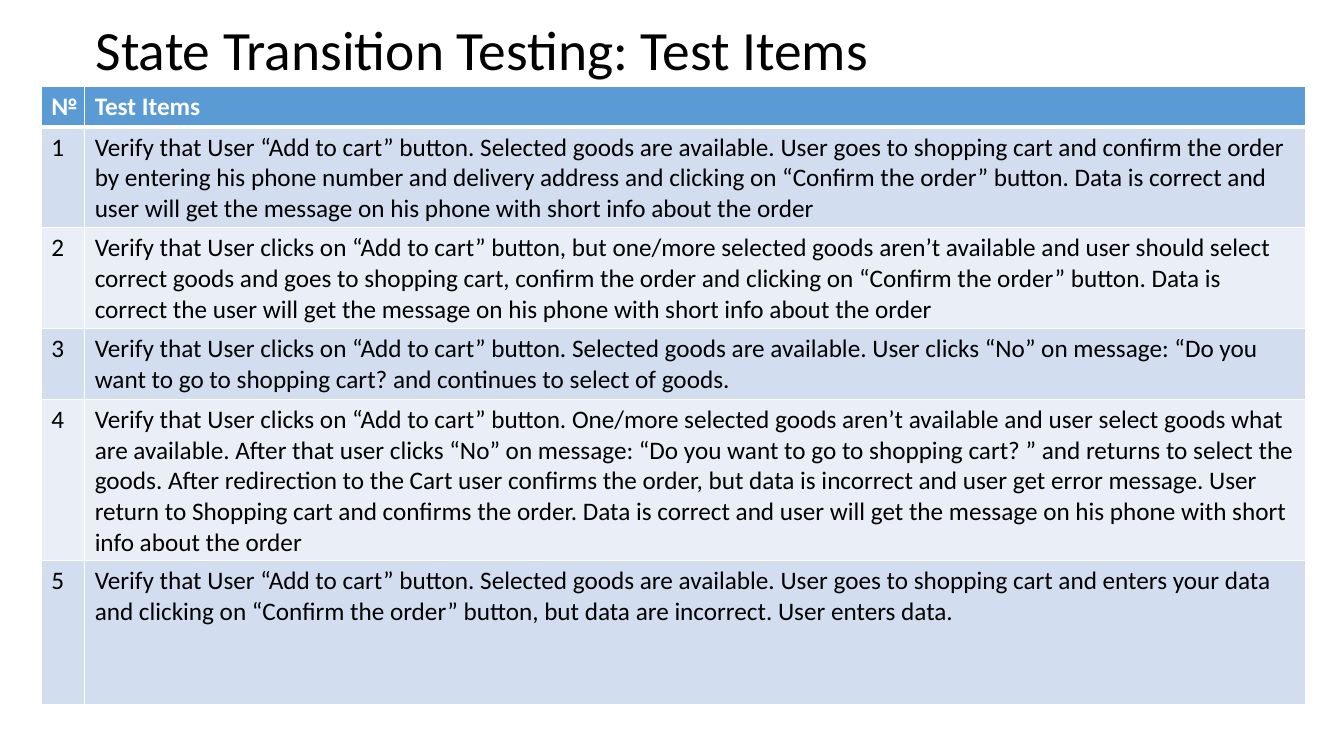
from lxml import etree
from pptx import Presentation
from pptx.dml.color import RGBColor
from pptx.enum.text import MSO_ANCHOR
from pptx.oxml.ns import qn
from pptx.util import Inches, Pt

MIDDLE = MSO_ANCHOR.MIDDLE
FONT = "Calibri"
WHITE, BLACK, BLUE = "FFFFFF", "000000", "5B9BD5"
BANDS = ["D2DEEF", "EAEFF7"]
WIDE, HIGH = 13.33, 7.5
COLS = [0.43, 12.11]
ROWS = [0.36, 0.89, 0.91, 0.62, 1.43, 1.43]
HEAD = ["№", "Test Items"]
ITEMS = [
    "Verify that User “Add to cart” button. Selected goods are available. "
    "User goes to shopping cart and confirm the order by entering his phone "
    "number and delivery address and clicking on “Confirm the order” button. "
    "Data is correct and user will get the message on his phone with short "
    "info about the order",
    "Verify that User clicks on “Add to cart” button, but one/more selected "
    "goods aren’t available and user should select correct goods and goes to "
    "shopping cart, confirm the order and clicking on “Confirm the order” "
    "button. Data is correct the user will get the message on his phone with "
    "short info about the order",
    "Verify that User clicks on “Add to cart” button. Selected goods are "
    "available. User clicks “No” on message: “Do you want to go to shopping "
    "cart? and continues to select of goods.",
    "Verify that User clicks on “Add to cart” button. One/more selected goods "
    "aren’t available and user select goods what are available. After that "
    "user clicks “No” on message: “Do you want to go to shopping cart? ” and "
    "returns to select the goods. After redirection to the Cart user confirms "
    "the order, but data is incorrect and user get error message. User return "
    "to Shopping cart and confirms the order. Data is correct and user will "
    "get the message on his phone with short info about the order",
    "Verify that User “Add to cart” button. Selected goods are available. "
    "User goes to shopping cart and enters your data and clicking on “Confirm "
    "the order” button, but data are incorrect. User enters data.",
]


def paint(fill, color):
    fill.solid()
    fill.fore_color.rgb = RGBColor.from_string(color)


def style(par, size, color, bold=False):
    for run in par.runs:
        font = run.font
        font.name, font.size, font.bold = FONT, Pt(size), bold
        paint(font.fill, color)


def edge(cell, side, width):
    line = etree.SubElement(cell._tc.get_or_add_tcPr(), qn("a:" + side),
                            w=str(Pt(width)))
    fill = etree.SubElement(line, qn("a:solidFill"))
    etree.SubElement(fill, qn("a:srgbClr"), val=WHITE)


def add_title(slide, box, text):
    frame = slide.shapes.add_textbox(*map(Inches, box)).text_frame
    frame.word_wrap = True
    frame.vertical_anchor = MIDDLE
    frame.text = text
    par = frame.paragraphs[0]
    par.line_spacing = 0.9
    style(par, 39.6, BLACK)


def fill_cell(cell, row, text):
    for side in ("lnL", "lnR", "lnT", "lnB"):
        thick = (row, side) in ((0, "lnB"), (1, "lnT"))
        edge(cell, side, 3 if thick else 1)
    head = row == 0
    paint(cell.fill, BLUE if head else BANDS[(row - 1) % 2])
    cell.text = text
    style(cell.text_frame.paragraphs[0], 18, WHITE if head else BLACK, head)


def add_items(slide, left, top):
    data = [HEAD] + [[str(num), item] for num, item in enumerate(ITEMS, 1)]
    box = (left, top, sum(COLS), sum(ROWS))
    table = slide.shapes.add_table(len(ROWS), len(COLS),
                                   *map(Inches, box)).table
    for col, width in zip(table.columns, COLS):
        col.width = Inches(width)
    for row, (height, texts) in enumerate(zip(ROWS, data)):
        table.rows[row].height = Inches(height)
        for col, text in enumerate(texts):
            fill_cell(table.cell(row, col), row, text)


def main():
    deck = Presentation()
    deck.slide_width, deck.slide_height = Inches(WIDE), Inches(HIGH)
    slide = deck.slides.add_slide(deck.slide_layouts[6])
    paint(slide.background.fill, WHITE)
    add_title(slide, (0.85, 0.18, 11.5, 0.69), "State Transition Testing: Test Items")
    add_items(slide, 0.41, 0.86)
    deck.save("out.pptx")


if __name__ == "__main__":
    main()
